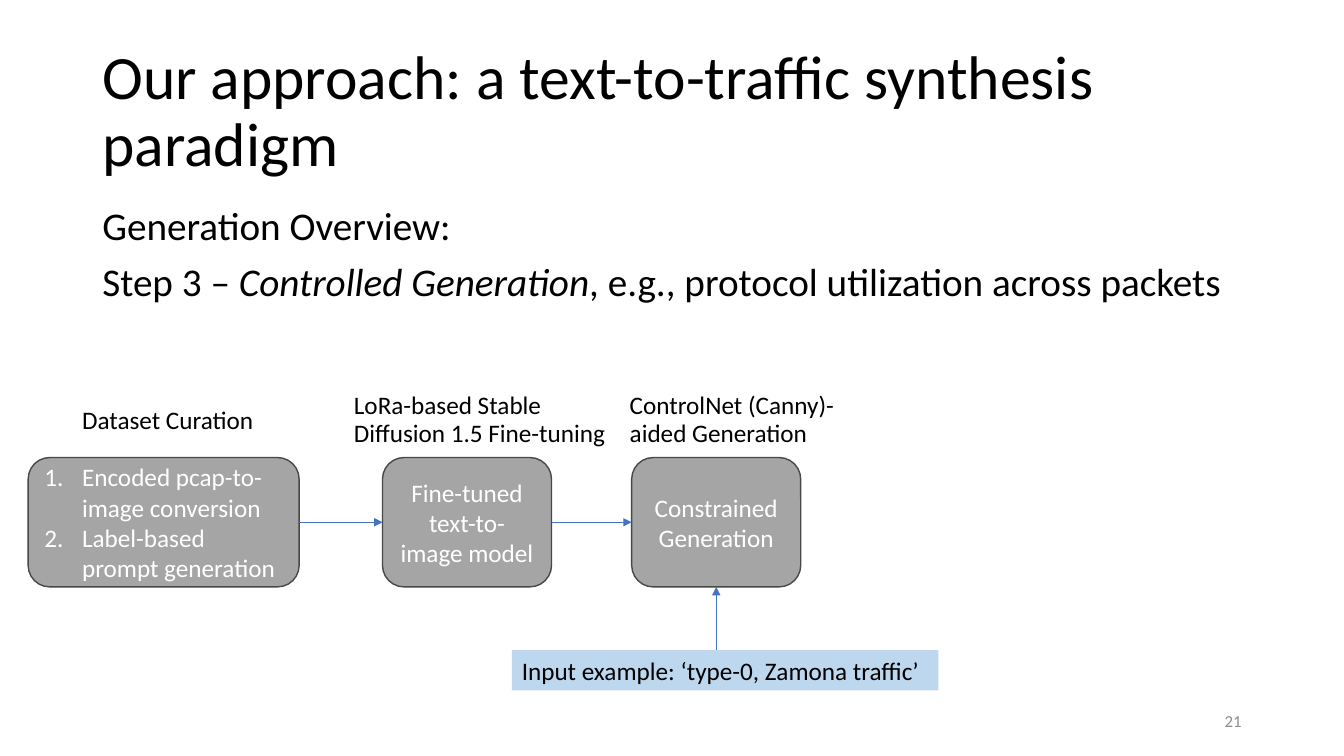
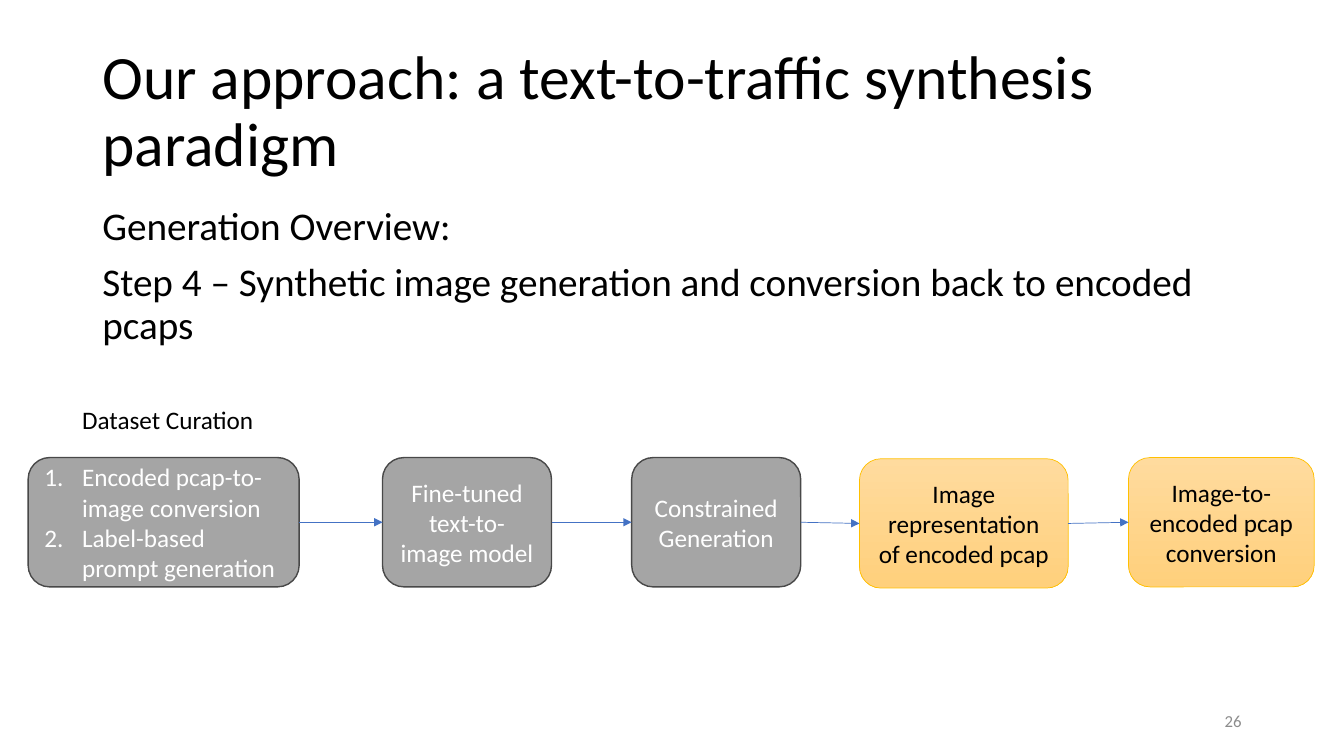
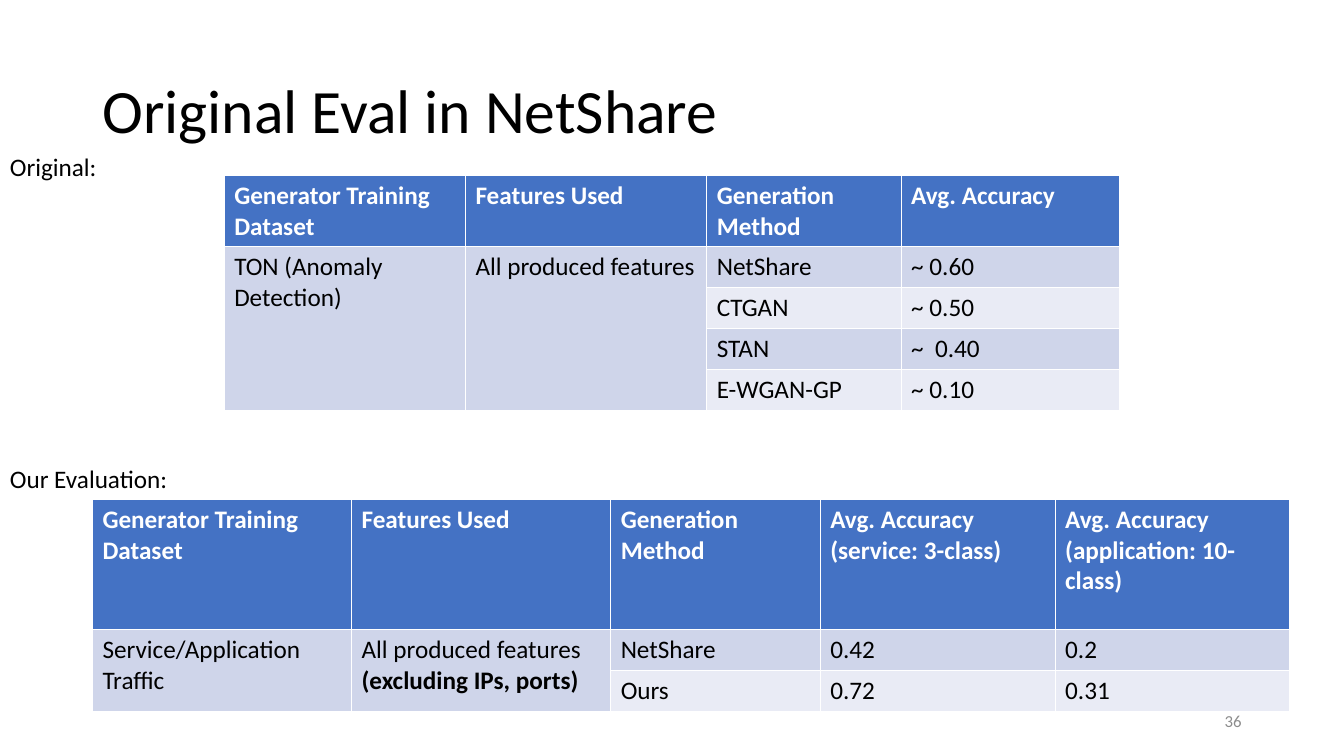
from lxml import etree
from pptx import Presentation
from pptx.dml.color import RGBColor as Rgb
from pptx.enum.shapes import MSO_CONNECTOR as Link, MSO_SHAPE as Form
from pptx.enum.text import MSO_ANCHOR as Anchor, PP_ALIGN as Align
from pptx.oxml.ns import qn
from pptx.util import Cm, Pt

HUES = {
    "ink": "000000", "white": "FFFFFF", "page": "8C8C8C",
    "gray": "A5A5A5", "edge": "484848", "blue": "4472C4", "sky": "BDD7EE",
    "light": "FFDB9E", "deep": "FFD07C", "gold": "FFC000",
    "odd": "CFD5EA", "even": "E9EBF5",
}
HUES = {name: Rgb.from_string(code) for name, code in HUES.items()}
FACE = {"name": "Calibri", "size": Pt(18)}
TIGHT = {"line_spacing": 0.9, "space_before": Pt(10)}
MID = {"alignment": Align.CENTER}


def write(frame, paras, hue="ink", style={}, font={}):
    """Fill a frame; a paragraph is a string or a list of (text, font) runs."""
    frame.word_wrap = True
    for n, para in enumerate(paras):
        line = frame.add_paragraph() if n else frame.paragraphs[0]
        for key, value in style.items():
            setattr(line, key, value)
        if n == 0:
            line.space_before = Pt(0)
        for words, extra in [(para, {})] if isinstance(para, str) else para:
            run = line.add_run()
            run.text = words
            for key, value in {**FACE, **font, **extra}.items():
                setattr(run.font, key, value)
            run.font.color.rgb = HUES[hue]


def arrow(slide, start, end):
    """Draw a thin arrow between two points given in lengths."""
    wire = slide.shapes.add_connector(Link.STRAIGHT, *start, *end)
    wire.line.color.rgb = HUES["blue"]
    wire.line.width = Pt(0.5)
    tail = etree.SubElement(wire.line._get_or_add_ln(), qn("a:tailEnd"))
    tail.set("type", "triangle")
    etree.SubElement(wire._element.spPr, qn("a:effectLst"))


deck = Presentation()
deck.slide_width, deck.slide_height = Cm(33.87), Cm(19.05)

# Title and page number on every slide
plan = "Our approach: a text-to-traffic synthesis paradigm"
slides = []
for title, page in [(plan, "21"), (plan, "26"), ("Original Eval in NetShare", "36")]:
    slide = deck.slides.add_slide(deck.slide_layouts[6])
    slides.append(slide)
    head = slide.shapes.add_textbox(Cm(2.33), Cm(1.01), Cm(29.21), Cm(3.68))
    write(head.text_frame, [title], style={"line_spacing": 0.9}, font={"size": Pt(44)})
    foot = slide.shapes.add_textbox(Cm(23.92), Cm(17.65), Cm(7.62), Cm(1.02))
    write(foot.text_frame, [page], "page", {"alignment": Align.RIGHT}, {"size": Pt(12)})
    for box in (head, foot):
        box.text_frame.vertical_anchor = Anchor.MIDDLE

# Pipeline: left, top, width, text, final stage or not
stages = [
    (0.71, 11.53, 6.83, ["Encoded pcap-to-image conversion", "Label-based prompt generation"], False),
    (9.64, 11.53, 4.26, ["Fine-tuned text-to-image model"], False),
    (15.92, 11.53, 4.26, ["Constrained Generation"], False),
    (21.66, 11.56, 5.26, ["Image representation of encoded pcap"], True),
    (28.44, 11.53, 4.68, ["Image-to-encoded pcap conversion"], True),
]
labels = [
    (1.82, 10.16, 5.13, "Dataset Curation"),
    (8.67, 9.78, 7.24, "LoRa-based Stable Diffusion 1.5 Fine-tuning"),
    (15.62, 9.78, 5.86, "ControlNet (Canny)-aided Generation"),
]
step3 = [("Step 3 – ", {}), ("Controlled Generation", {"italic": True}),
         (", e.g., protocol utilization across packets", {})]
step4 = "Step 4 – Synthetic image generation and conversion back to encoded pcaps"

for slide, step, count, notes in [(slides[0], step3, 3, labels), (slides[1], step4, 5, labels[:1])]:
    body = slide.shapes.add_textbox(Cm(2.33), Cm(5.08), Cm(29.21), Cm(4.5))
    write(body.text_frame, ["Generation Overview:", step], style=TIGHT, font={"size": Pt(28)})
    for left, top, width, words in notes:
        note = slide.shapes.add_textbox(Cm(left), Cm(top), Cm(width), Cm(1.75))
        write(note.text_frame, [words], style=TIGHT)

    last = None
    for left, top, width, words, final in stages[:count]:
        box = slide.shapes.add_shape(Form.ROUNDED_RECTANGLE, Cm(left), Cm(top), Cm(width), Cm(3.26))
        box.shadow.inherit = False
        if final:
            box.fill.gradient()
            box.fill.gradient_angle = 270
            for stop, hue in zip(box.fill.gradient_stops, ("light", "deep")):
                stop.color.rgb = HUES[hue]
        else:
            box.fill.solid()
            box.fill.fore_color.rgb = HUES["gray"]
        box.line.color.rgb = HUES["gold" if final else "edge"]
        box.line.width = Pt(0.5 if final else 1)
        box.text_frame.vertical_anchor = Anchor.MIDDLE
        listed = len(words) > 1
        write(box.text_frame, words, "ink" if final else "white",
              {"alignment": Align.LEFT} if listed else MID)
        if listed:
            for line in box.text_frame.paragraphs:
                props = line._p.get_or_add_pPr()
                props.set("marL", str(Cm(0.95)))
                props.set("indent", str(-Cm(0.95)))
                etree.SubElement(props, qn("a:buAutoNum")).set("type", "arabicPeriod")
        if last:
            arrow(slide, (last.left + last.width, last.top + last.height // 2),
                  (box.left, box.top + box.height // 2))
        last = box

# Sample prompt under the third stage
slide = slides[0]
prompt = slide.shapes.add_textbox(Cm(12.9), Cm(16.38), Cm(10.75), Cm(1.02))
prompt.fill.solid()
prompt.fill.fore_color.rgb = HUES["sky"]
write(prompt.text_frame, ["Input example: ‘type-0, Zamona traffic’"])
arrow(slide, (Cm(18.05), Cm(16.38)), (Cm(18.05), Cm(14.79)))

# Result tables: caption top, left, top, column widths, header height, rows
heads = ["Generator Training Dataset", "Features Used", "Generation Method"]
used = [("All produced features ", {}), ("(excluding IPs, ports)", {"bold": True})]
tables = [
    ("Original:", 3.68, 5.65, 4.43, [6.08, 6.08, 4.9, 5.5], 1.79, [
        heads + ["Avg. Accuracy"],
        ["TON (Anomaly Detection)", "All produced features", "NetShare", "~ 0.60"],
        ["", "", "CTGAN", "~ 0.50"],
        ["", "", "STAN", "~  0.40"],
        ["", "", "E-WGAN-GP", "~ 0.10"],
    ]),
    ("Our Evaluation:", 11.56, 2.33, 12.58, [6.53, 6.53, 5.28, 5.92, 5.92], 3.28, [
        heads + ["Avg. Accuracy (service: 3-class)", "Avg. Accuracy (application: 10-class)"],
        ["Service/Application Traffic", used, "NetShare", "0.42", "0.2"],
        ["", "", "Ours", "0.72", "0.31"],
    ]),
]
slide = slides[2]
for name, high, left, top, widths, tall, rows in tables:
    note = slide.shapes.add_textbox(Cm(0), Cm(high), Cm(5), Cm(1.02))
    write(note.text_frame, [name])
    sizes = [tall] + [1.03] * (len(rows) - 1)
    grid = slide.shapes.add_table(len(rows), len(widths), Cm(left), Cm(top),
                                  Cm(sum(widths)), Cm(sum(sizes))).table
    for col, width in zip(grid.columns, widths):
        col.width = Cm(width)
    for r, row in enumerate(rows):
        grid.rows[r].height = Cm(sizes[r])
        for c, words in enumerate(row):
            cell = grid.cell(r, c)
            cell.fill.solid()
            cell.fill.fore_color.rgb = HUES["blue" if r == 0 else "odd" if r % 2 else "even"]
            if words:
                write(cell.text_frame, [words], "ink" if r else "white", font={"bold": r == 0})
    for c in range(2):
        grid.cell(1, c).merge(grid.cell(len(rows) - 1, c))

deck.save("out.pptx")
